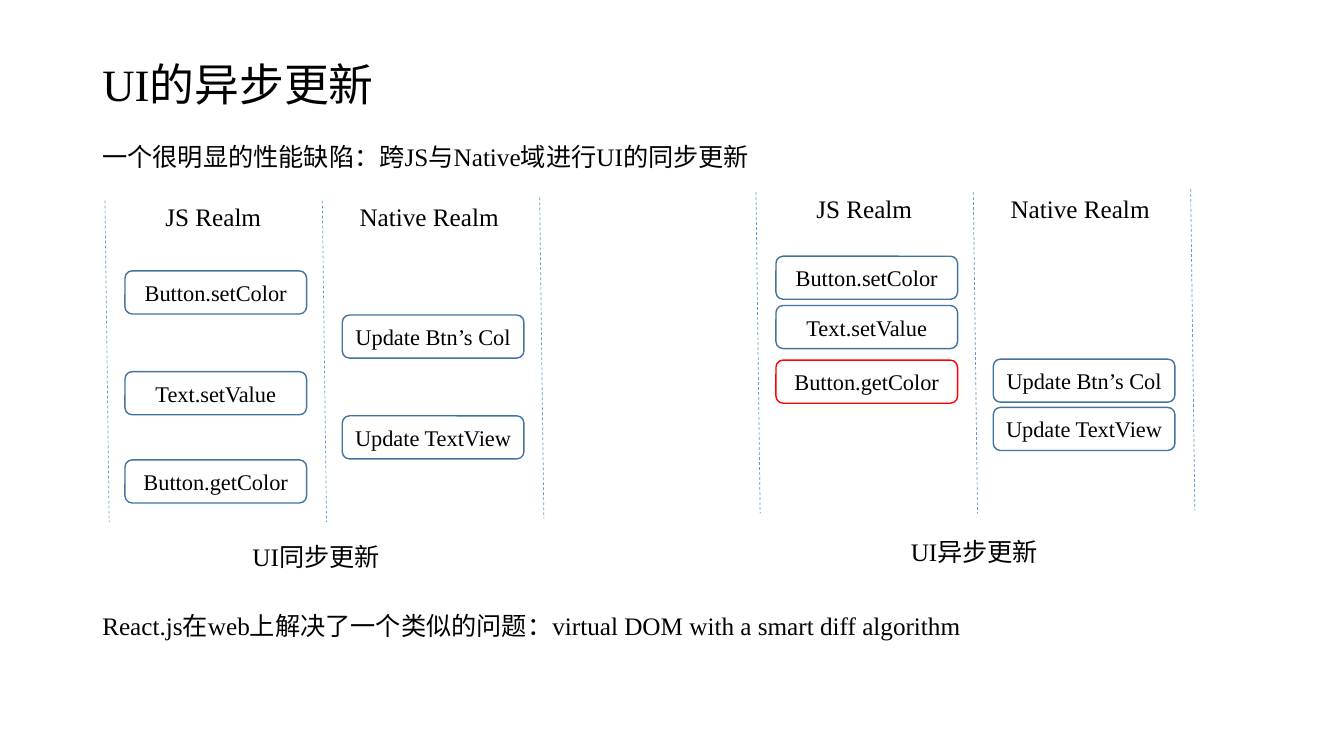
from lxml.etree import SubElement
from pptx import Presentation
from pptx.dml.color import RGBColor
from pptx.enum.dml import MSO_LINE
from pptx.enum.shapes import MSO_CONNECTOR, MSO_SHAPE
from pptx.enum.text import MSO_ANCHOR as Anchor, PP_ALIGN as Align
from pptx.oxml.ns import qn
from pptx.util import Pt

EMU_PER_PX = 9525
FONT = "Times New Roman"
BLACK = RGBColor(0x00, 0x00, 0x00)
WHITE = RGBColor(0xFF, 0xFF, 0xFF)
BLUE = RGBColor(0x43, 0x73, 0x9E)
LIGHT_BLUE = RGBColor(0x5B, 0x9B, 0xD5)
RED = RGBColor(0xFF, 0x00, 0x00)

MARGIN, TEXT_WIDTH, LINE_HEIGHT = 88, 1104, 38
LANE_WIDTH, LANE_HEIGHT, LANE_SLANT = 207, 306, 4
STEP_INDENT, STEP_WIDTH, STEP_HEIGHT = 19, 173, 41
LANE_TITLES = [("JS Realm", 48, 113), ("Native Realm", 26, 157)]

# Each step: lane, top, label, outline colour
SYNC_STEPS = [
    (0, 258, "Button.setColor", BLUE),
    (0, 354, "Text.setValue", BLUE),
    (1, 300, "Update Btn’s Col", BLUE),
    (1, 396, "Update TextView", BLUE),
    (0, 438, "Button.getColor", BLUE),
]
ASYNC_STEPS = [
    (0, 244, "Button.setColor", BLUE),
    (0, 291, "Text.setValue", BLUE),
    (1, 342, "Update Btn’s Col", BLUE),
    (1, 388, "Update TextView", BLUE),
    (0, 343, "Button.getColor", RED),
]


def px(*lengths):
    return [length * EMU_PER_PX for length in lengths]


class SlideBuilder:
    def __init__(self, slide):
        self.slide = slide
        self.shapes = slide.shapes

    def start_group(self):
        """Send the elements that follow into a new group."""
        self.shapes = self.slide.shapes.add_group_shape().shapes

    def end_group(self):
        self.shapes = self.slide.shapes

    def set_text(self, shape, text, size, anchor, align):
        frame = shape.text_frame
        frame.word_wrap = True
        frame.vertical_anchor = anchor
        frame.text = text
        paragraph = frame.paragraphs[0]
        paragraph.alignment = align
        font = paragraph.runs[0].font
        font.name, font.size = FONT, Pt(size)
        font.color.rgb = BLACK

    def text(self, left, top, width, text, height=LINE_HEIGHT, size=18,
             anchor=Anchor.TOP):
        box = self.shapes.add_textbox(*px(left, top, width, height))
        self.set_text(box, text, size, anchor, Align.LEFT)

    def step(self, left, top, text, outline):
        shape = self.shapes.add_shape(
            MSO_SHAPE.ROUNDED_RECTANGLE, *px(left, top, STEP_WIDTH, STEP_HEIGHT))
        shape.shadow.inherit = False
        shape.fill.solid()
        shape.fill.fore_color.rgb = WHITE
        shape.line.color.rgb = outline
        shape.line.width = Pt(1)
        self.set_text(shape, text, 16, Anchor.MIDDLE, Align.CENTER)

    def lane_line(self, left, top):
        connector = self.shapes.add_connector(
            MSO_CONNECTOR.STRAIGHT,
            *px(left, top, left + LANE_SLANT, top + LANE_HEIGHT))
        connector.line.color.rgb = LIGHT_BLUE
        connector.line.width = Pt(0.5)
        connector.line.dash_style = MSO_LINE.DASH
        SubElement(connector._element.spPr, qn("a:effectLst"))

    def diagram(self, left, top, steps):
        """Draw two lanes with their titles and steps."""
        for index, rise in enumerate((0, 0, 3)):
            self.lane_line(left + index * LANE_WIDTH, top - rise)
        for lane, (title, indent, width) in enumerate(LANE_TITLES):
            self.text(left + lane * LANE_WIDTH + indent, top - 4, width, title)
        for lane, step_top, label, outline in steps:
            self.step(left + lane * LANE_WIDTH + STEP_INDENT, step_top, label, outline)


def main():
    presentation = Presentation()
    presentation.slide_width, presentation.slide_height = px(1280, 720)
    slide = presentation.slides.add_slide(presentation.slide_layouts[6])
    builder = SlideBuilder(slide)

    builder.text(MARGIN, 38, TEXT_WIDTH, "UI的异步更新", height=83, size=32,
                 anchor=Anchor.MIDDLE)
    builder.text(MARGIN, 130, TEXT_WIDTH,
                 "一个很明显的性能缺陷：跨JS与Native域进行UI的同步更新")

    builder.start_group()
    builder.diagram(100, 191, SYNC_STEPS)
    builder.text(231, 511, 156, "UI同步更新")

    builder.start_group()
    builder.diagram(720, 183, ASYNC_STEPS)
    builder.text(858, 506, 142, "UI异步更新")
    builder.end_group()

    builder.text(MARGIN, 577, TEXT_WIDTH,
                 "React.js在web上解决了一个类似的问题：virtual DOM with a smart diff algorithm")
    presentation.save("out.pptx")


if __name__ == "__main__":
    main()
